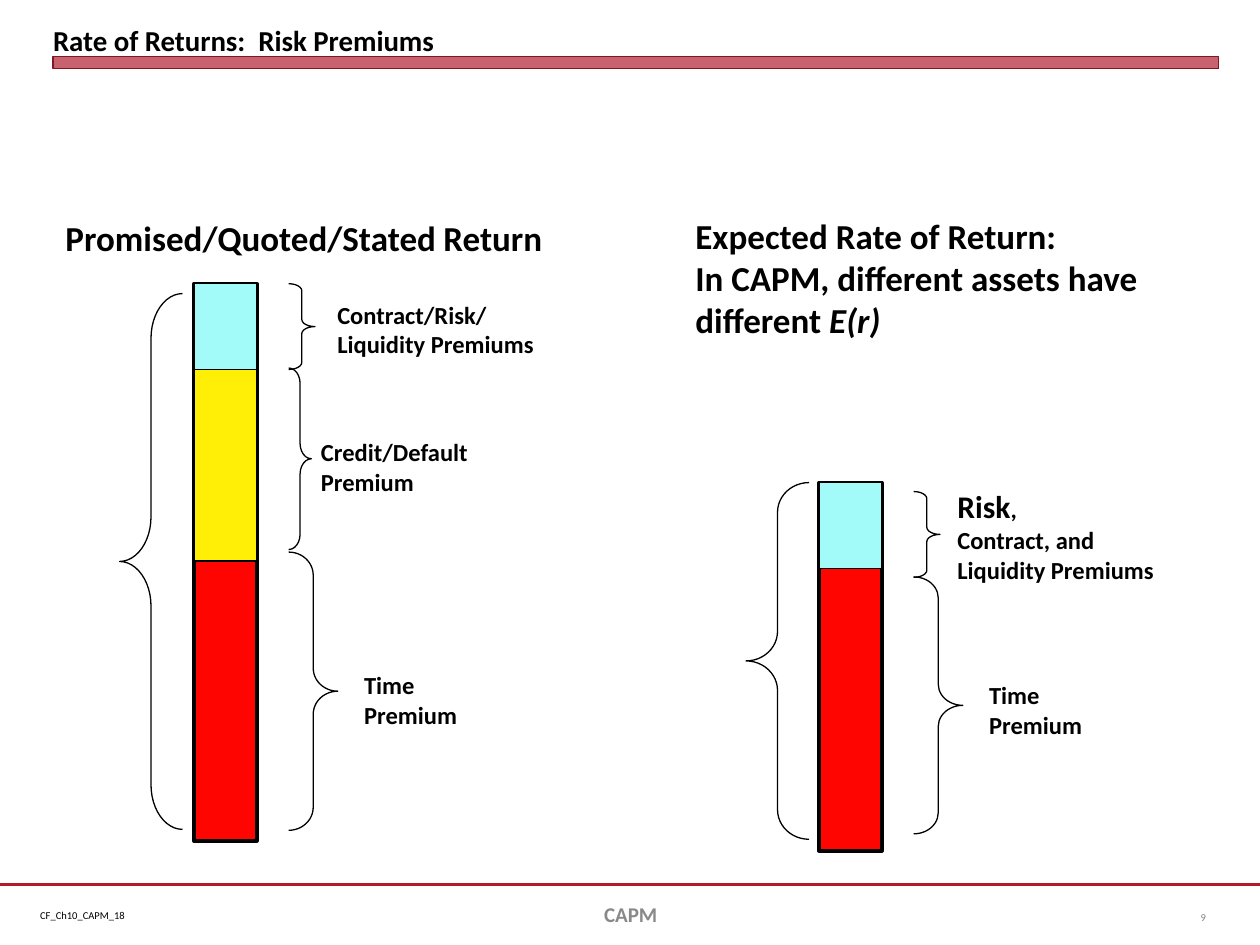
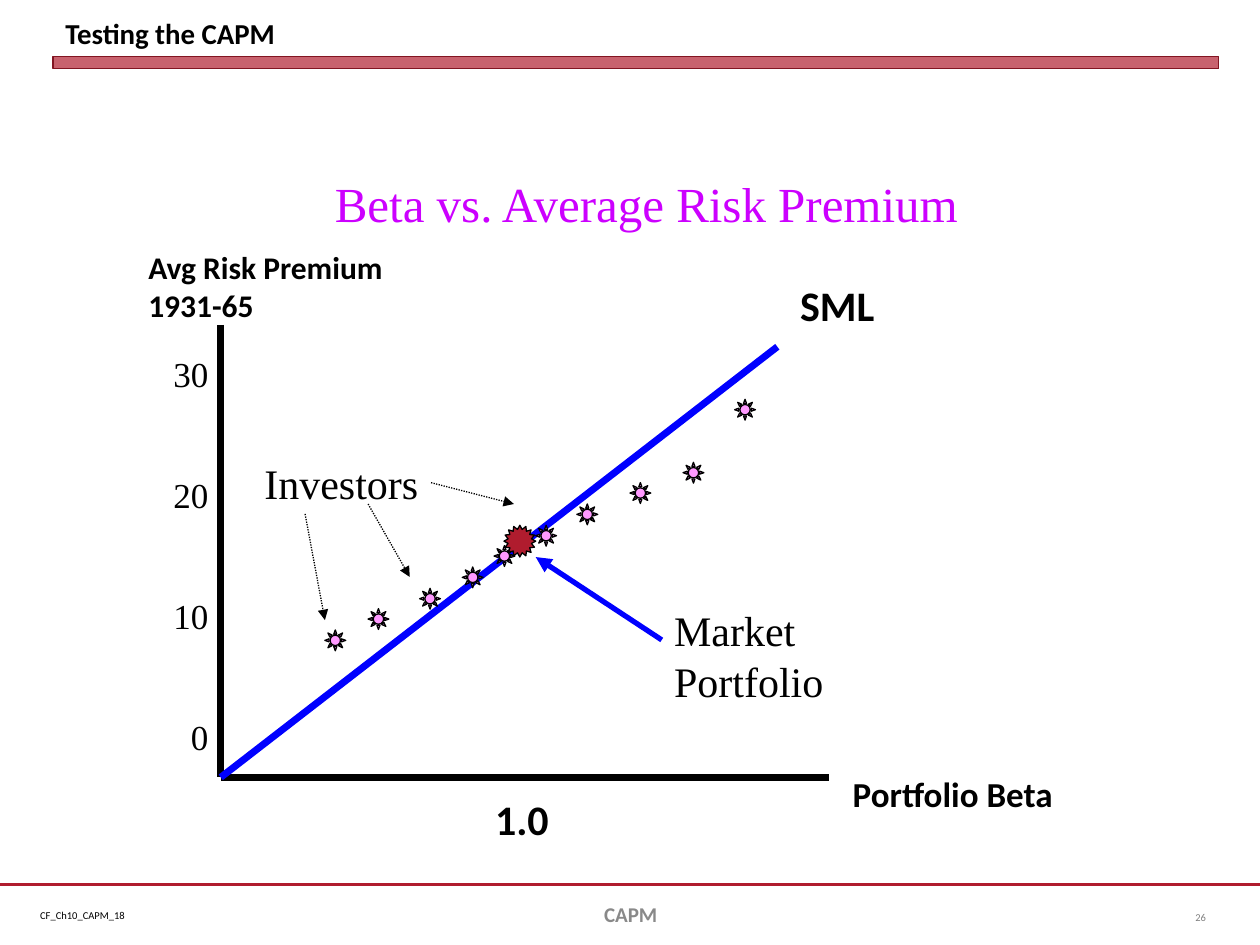
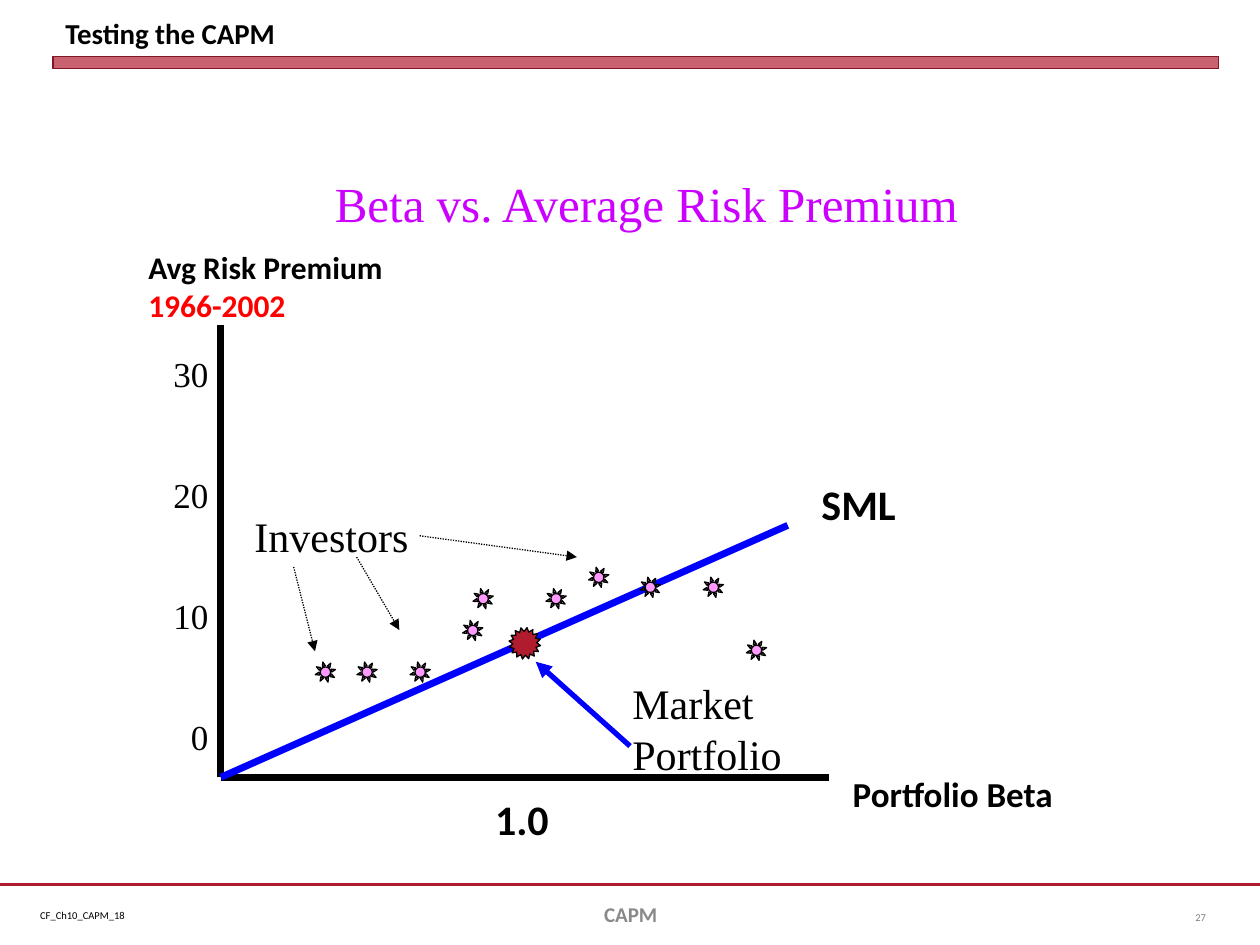
from lxml.etree import SubElement
from pptx import Presentation
from pptx.dml.color import RGBColor
from pptx.enum.dml import MSO_LINE as Dash
from pptx.enum.shapes import MSO_CONNECTOR as Link, MSO_SHAPE as Form
from pptx.enum.text import MSO_ANCHOR as Anchor, MSO_AUTO_SIZE as Fit, PP_ALIGN as Align
from pptx.oxml.ns import qn
from pptx.util import Cm, Pt

BLACK = RGBColor(0x00, 0x00, 0x00)
CRIMSON = RGBColor(0xB0, 0x1C, 0x2E)
MAROON = RGBColor(0x82, 0x15, 0x22)
GRAY = RGBColor(0x89, 0x89, 0x89)
SILVER = RGBColor(0x80, 0x80, 0x80)
RED = RGBColor(0xFF, 0x05, 0x02)
ALERT = RGBColor(0xFF, 0x00, 0x00)
YELLOW = RGBColor(0xFF, 0xEF, 0x06)
CYAN = RGBColor(0xA3, 0xFB, 0xF9)
BLUE = RGBColor(0x00, 0x00, 0xFF)
PINK = RGBColor(0xFF, 0x99, 0xFF)
VIOLET = RGBColor(0xCC, 0x00, 0xFF)


def face(size, name="Calibri", bold=True, color=BLACK):
    return {"name": name, "size": Pt(size), "bold": bold, "color": color}


def serif(size, color=BLACK):
    return face(size, "Times New Roman", False, color)


TITLE = face(16.5)
HEAD = face(20)
NOTE = face(14)
SMALL = face(6, bold=False)


def dress(font, fmt):
    for key, val in fmt.items():
        if key == "color":
            font.color.rgb = val
        else:
            setattr(font, key, val)


def write(frame, paras, fmt, align=Align.LEFT, gap=0):
    for num, runs in enumerate(paras):
        para = frame.add_paragraph() if num else frame.paragraphs[0]
        para.alignment = align
        if num and gap:
            para.space_before = Pt(gap)
        for item in [(runs, {})] if isinstance(runs, str) else runs:
            run = para.add_run()
            run.text = item[0]
            dress(run.font, {**fmt, **item[1]})


def label(slide, box, paras, fmt, align=Align.LEFT, gap=0, anchor=Anchor.TOP, wrap=True):
    frame = slide.shapes.add_textbox(*map(Cm, box)).text_frame
    frame.word_wrap = wrap
    frame.vertical_anchor = anchor
    write(frame, paras, fmt, align, gap)


def shape(slide, form, box, fill=None, line=BLACK, width=0.75, turn=0):
    item = slide.shapes.add_shape(form, *map(Cm, box))
    item.shadow.inherit = False
    item.rotation = turn
    if fill is None:
        item.fill.background()
    else:
        item.fill.solid()
        item.fill.fore_color.rgb = fill
    item.line.color.rgb = line
    item.line.width = Pt(width)
    return item


def brace(slide, form, box, curve):
    shape(slide, form, box).adjustments[0] = curve


def rule(slide, start, end, color=BLACK, width=0.75, dash=None, arrow=False):
    line = slide.shapes.add_connector(Link.STRAIGHT, *map(Cm, start + end))
    line.line.color.rgb = color
    line.line.width = Pt(width)
    if dash:
        line.line.dash_style = dash
    prop = line.element.spPr
    if arrow:
        SubElement(prop.find(qn("a:ln")), qn("a:tailEnd"), type="triangle")
    SubElement(prop, qn("a:effectLst"))


def page(deck, text, num, inset=(0.25, 0.13)):
    slide = deck.slides.add_slide(deck.slide_layouts[5])
    rule(slide, (0, 17.83), (25.4, 17.83), CRIMSON, 1.25)
    label(slide, (0.56, 18.19, 2.24, 0.51), ["CF_Ch10_CAPM_18"], SMALL, wrap=False)
    band = shape(slide, Form.RECTANGLE, (1.07, 1.14, 23.5, 0.25), CRIMSON, MAROON, 0)
    tint = next(band.element.spPr.iter(qn("a:srgbClr")))
    SubElement(tint, qn("a:alpha"), val="69000")
    title = slide.shapes.title
    title.left, title.top, title.width, title.height = map(Cm, (1.07, 0.13, 23.5, 1.02))
    side, edge = map(Cm, inset)
    frame = title.text_frame
    form = {"auto_size": Fit.NONE, "vertical_anchor": Anchor.BOTTOM, "margin_left": side,
            "margin_right": side, "margin_top": edge, "margin_bottom": edge}
    for key, val in form.items():
        setattr(frame, key, val)
    write(frame, [text], TITLE)
    label(slide, (8.69, 17.91, 8.05, 1.02), ["CAPM"], face(12, color=GRAY),
          Align.CENTER, anchor=Anchor.MIDDLE)
    label(slide, (23.29, 17.98, 1.27, 1.02), [str(num)], {**SMALL, "color": SILVER},
          Align.RIGHT, anchor=Anchor.MIDDLE)
    return slide


def stack(slide, left, top, high, cuts, parts):
    wide = 1.27
    shape(slide, Form.RECTANGLE, (left, top, wide, high), RED, width=2.25)
    for y, width in cuts:
        rule(slide, (left, y), (left + wide, y), width=width)
    for y, tall, fill in parts:
        shape(slide, Form.RECTANGLE, (left, y, wide, tall), fill)


def returns(deck):
    slide = page(deck, "Rate of Returns:  Risk Premiums", 9, (0, 0))
    stack(slide, 3.91, 5.72, 11.23, [(11.23, 2.25), (7.42, 2)],
          [(7.42, 3.89, YELLOW), (5.72, 1.73, CYAN)])
    stack(slide, 16.51, 9.73, 7.42, [(11.43, 2.25), (9.73, 2)], [(9.73, 1.73, CYAN)])
    for left, top, wide, high, curve in [
        (5.82, 11.13, 0.99, 5.61, 0.47),
        (5.82, 5.72, 0.53, 1.73, 0.27),
        (5.82, 7.42, 0.46, 3.66, 0.67),
        (18.42, 11.63, 0.99, 5.18, 0.43),
        (18.42, 9.91, 0.53, 1.73, 0.27),
    ]:
        brace(slide, Form.RIGHT_BRACE, (left, top, wide, high), curve)
    brace(slide, Form.LEFT_BRACE, (2.41, 5.92, 1.27, 10.8), 0.71)
    brace(slide, Form.LEFT_BRACE, (15.04, 9.73, 1.27, 7.19), 0.47)

    label(slide, (1.07, 4.24, 10.59, 1.12),
          [[("Promised/Quoted/Stated", {}), (" ", {"size": Pt(18)}), ("Return", {})]], HEAD)
    label(slide, (13.77, 4.19, 10.36, 2.79),
          ["Expected Rate of Return:",
           [("In CAPM, different assets have different", {}), (" E(r)", {"italic": True})]], HEAD)
    risk = [("Risk", {"size": Pt(18)}), (",", {})]
    for box, paras in [
        ((6.55, 5.92, 4.88, 1.45), ["Contract/Risk/", "Liquidity Premiums"]),
        ((6.22, 8.69, 3.71, 1.45), ["Credit/Default Premium"]),
        ((7.09, 13.39, 2.69, 1.45), ["Time Premium"]),
        ((19.69, 13.59, 2.69, 1.45), ["Time Premium"]),
        ((19.05, 9.7, 5.72, 2.24), [risk, "Contract, and", "Liquidity Premiums"]),
    ]:
        label(slide, box, paras, NOTE)


def market(deck, num, years, end, sml, crowd, hints, name, core, point, suns, turn=0):
    slide = page(deck, "Testing the CAPM", num)
    zero = (4.45, 15.67)
    rule(slide, (4.45, 6.55), zero, width=4)
    rule(slide, zero, (16.71, 15.67), width=4)
    label(slide, (2.74, 4.88, 6.15, 1.78), [[("Avg Risk Premium ", {}), years]], face(18))
    label(slide, (16.94, 15.44, 5.51, 1.12), ["Portfolio Beta"], HEAD)
    rule(slide, zero, end, BLUE, 4)
    label(slide, (9.73, 15.88, 3.18, 1.3), ["1.0"], face(24))
    label(slide, sml + (5.51, 1.3), ["SML"], face(24))
    label(slide, (2.11, 6.99, 2.34, 8.71), [str(val) for val in range(30, -1, -10)],
          serif(20), Align.RIGHT, gap=45)
    for spot in suns:
        shape(slide, Form.SUN, spot + (0.42, 0.42), PINK, turn=turn)
    label(slide, crowd + (4.45, 1.27), ["Investors"], serif(24))
    for start, stop in hints:
        rule(slide, start, stop, dash=Dash.ROUND_DOT, arrow=True)
    label(slide, name + (4.45, 2.29), ["Market Portfolio"], serif(24))
    shape(slide, Form.STAR_16_POINT, core + (0.64, 0.64), CRIMSON, turn=turn)
    rule(slide, *point, BLUE, 3, arrow=True)
    label(slide, (5.51, 3.38, 15.04, 1.45), ["Beta vs. Average Risk Premium"],
          serif(28, VIOLET), Align.CENTER)


def main():
    deck = Presentation()
    deck.slide_width, deck.slide_height = Cm(25.4), Cm(19.05)
    returns(deck)
    market(
        deck, 26, ("1931-65", {}), end=(15.67, 6.99), sml=(15.88, 5.51), crowd=(5.08, 9.09),
        hints=[((6.15, 10.36), (6.55, 12.5)), ((7.42, 10.16), (8.26, 11.63)),
               ((8.69, 9.73), (10.36, 10.16))],
        name=(13.34, 12.07), core=(10.16, 10.59), point=((13.34, 12.9), (10.8, 11.23)),
        suns=[(7.42, 12.27), (9.96, 11), (6.55, 12.7), (8.46, 11.86), (9.32, 11.43),
              (10.8, 10.59), (11.63, 10.16), (12.7, 9.73), (13.77, 9.32), (14.81, 8.05)])
    market(
        deck, 27, ("1966-2002", {"color": ALERT}), end=(15.88, 10.59), sml=(16.31, 9.53),
        crowd=(4.88, 10.16),
        hints=[((5.92, 11.43), (6.35, 13.13)), ((7.19, 11.23), (8.05, 12.7)),
               ((8.46, 10.8), (11.63, 11.23))],
        name=(12.5, 13.54), core=(10.26, 12.65), point=((12.7, 15.04), (10.8, 13.34)),
        suns=[(7.19, 13.34), (9.53, 11.86), (6.35, 13.34), (8.26, 13.34), (9.32, 12.5),
              (11, 11.86), (11.86, 11.43), (12.9, 11.63), (14.17, 11.63), (15.04, 12.9)],
        turn=30.7)
    deck.save("out.pptx")


if __name__ == "__main__":
    main()
